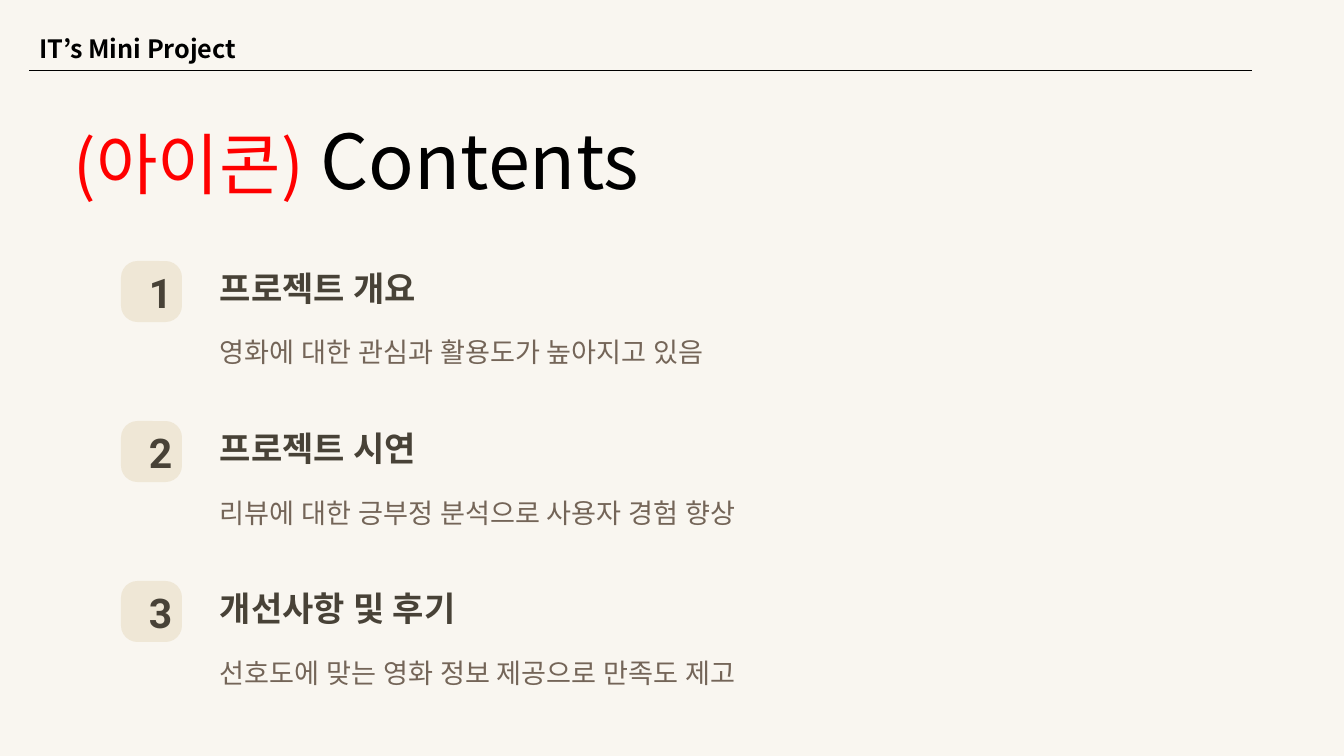
from lxml import etree
from pptx import Presentation
from pptx.dml.color import RGBColor
from pptx.enum.shapes import MSO_SHAPE
from pptx.enum.text import MSO_ANCHOR, PP_ALIGN
from pptx.oxml.ns import qn
from pptx.util import Emu, Pt

ROUNDED = MSO_SHAPE.ROUNDED_RECTANGLE
CENTER, LEFT = PP_ALIGN.CENTER, PP_ALIGN.LEFT
TOP, BOTTOM = MSO_ANCHOR.TOP, MSO_ANCHOR.BOTTOM

EMU_PER_PX = 914400 / 100.8
NOTO, ROBOTO = "Noto Sans CJK KR", "Roboto"
CREAM, SAND, BROWN, TAUPE = "F9F6F0", "EFE7D6", "484237", "746558"
BLACK, RED = "000000", "FF0000"

HEADER = {"name": NOTO, "size": Pt(18), "bold": True, "color": BLACK}
ICON = {"name": NOTO, "size": Pt(47.7), "color": RED}
CONTENTS = {"name": NOTO, "size": Pt(54), "color": BLACK}
NUMBER = {"name": ROBOTO, "size": Pt(29.2), "bold": True, "color": BROWN}
HEADING = {"name": ROBOTO, "size": Pt(24.3), "bold": True, "color": BROWN}
SUMMARY = {"name": ROBOTO, "size": Pt(19.4), "color": TAUPE}

FIRST_TOP, ITEM_PITCH = 261, 160
ITEMS = [
    ("프로젝트 개요", "영화에 대한 관심과 활용도가 높아지고 있음"),
    ("프로젝트 시연", "리뷰에 대한 긍부정 분석으로 사용자 경험 향상"),
    ("개선사항 및 후기", "선호도에 맞는 영화 정보 제공으로 만족도 제고"),
]


def px(*lengths):
    """Turn pixel lengths into a list of EMU."""
    return [Emu(round(length * EMU_PER_PX)) for length in lengths]


def paint(color_format, color):
    """Set a fill or font colour from a hex string."""
    color_format.rgb = RGBColor.from_string(color)


def fill_solid(fill, color):
    """Give a fill one solid colour."""
    fill.solid()
    paint(fill.fore_color, color)


def add_run(paragraph, words, style):
    """Append a run whose font follows a dict of format values."""
    run = paragraph.add_run()
    run.text = words
    for key, value in style.items():
        if key == "color":
            paint(run.font.color, value)
        else:
            setattr(run.font, key, value)
    east_asian = etree.SubElement(run.font._element, qn("a:ea"))
    east_asian.set("typeface", style["name"])


def add_text(slide, box, runs, spacing, align=LEFT, anchor=TOP, wrap=False):
    """Place one paragraph of styled runs in a text box."""
    frame = slide.shapes.add_textbox(*px(*box)).text_frame
    frame.word_wrap = wrap
    frame.vertical_anchor = anchor
    paragraph = frame.paragraphs[0]
    paragraph.alignment = align
    paragraph.line_spacing = spacing
    for words, style in runs:
        add_run(paragraph, words, style)


def add_header(slide, words):
    """Draw the project name as a one-cell table ruled along its bottom."""
    header = slide.shapes.add_table(1, 1, *px(29, 24, 1223, 41)).table
    header.first_row = header.horz_banding = False
    cell = header.cell(0, 0)
    add_run(cell.text_frame.paragraphs[0], words, HEADER)
    fill_solid(cell.fill, CREAM)
    properties = cell._tc.get_or_add_tcPr()
    for index, side in enumerate(("lnL", "lnR", "lnT", "lnB")):
        border = etree.Element(qn(f"a:{side}"), w=str(Pt(1)))
        if side == "lnB":
            solid = etree.SubElement(border, qn("a:solidFill"))
            etree.SubElement(solid, qn("a:srgbClr"), val=BLACK)
        else:
            etree.SubElement(border, qn("a:noFill"))
        properties.insert(index, border)


def add_badge(slide, top, number):
    """Draw a rounded tile with its item number."""
    badge = slide.shapes.add_shape(ROUNDED, *px(121, top, 61, 61))
    badge.shadow.inherit = False
    badge.adjustments[0] = 0.27
    fill_solid(badge.fill, SAND)
    badge.line.fill.background()
    add_text(slide, (139, top + 10, 25, 40), [(str(number), NUMBER)], Pt(29.2), CENTER)


def add_item(slide, number, heading, summary):
    """Add one numbered entry of the contents list."""
    top = FIRST_TOP + (number - 1) * ITEM_PITCH
    add_badge(slide, top, number)
    add_text(slide, (210, top, 481, 42), [(heading, HEADING)], Pt(30.4))
    add_text(slide, (210, top + 59, 729, 43), [(summary, SUMMARY)], Pt(31.1))


def main():
    """Build the contents slide and save it."""
    deck = Presentation()
    deck.slide_width, deck.slide_height = px(1344, 756)
    slide = deck.slides.add_slide(deck.slide_layouts[6])
    fill_solid(slide.background.fill, CREAM)
    add_header(slide, "IT’s Mini Project")
    title = [("(아이콘)", ICON), (" Contents", CONTENTS)]
    add_text(slide, (64, 142, 775, 69), title, 0.9, anchor=BOTTOM, wrap=True)
    for number, (heading, summary) in enumerate(ITEMS, 1):
        add_item(slide, number, heading, summary)
    deck.save("out.pptx")


if __name__ == "__main__":
    main()
